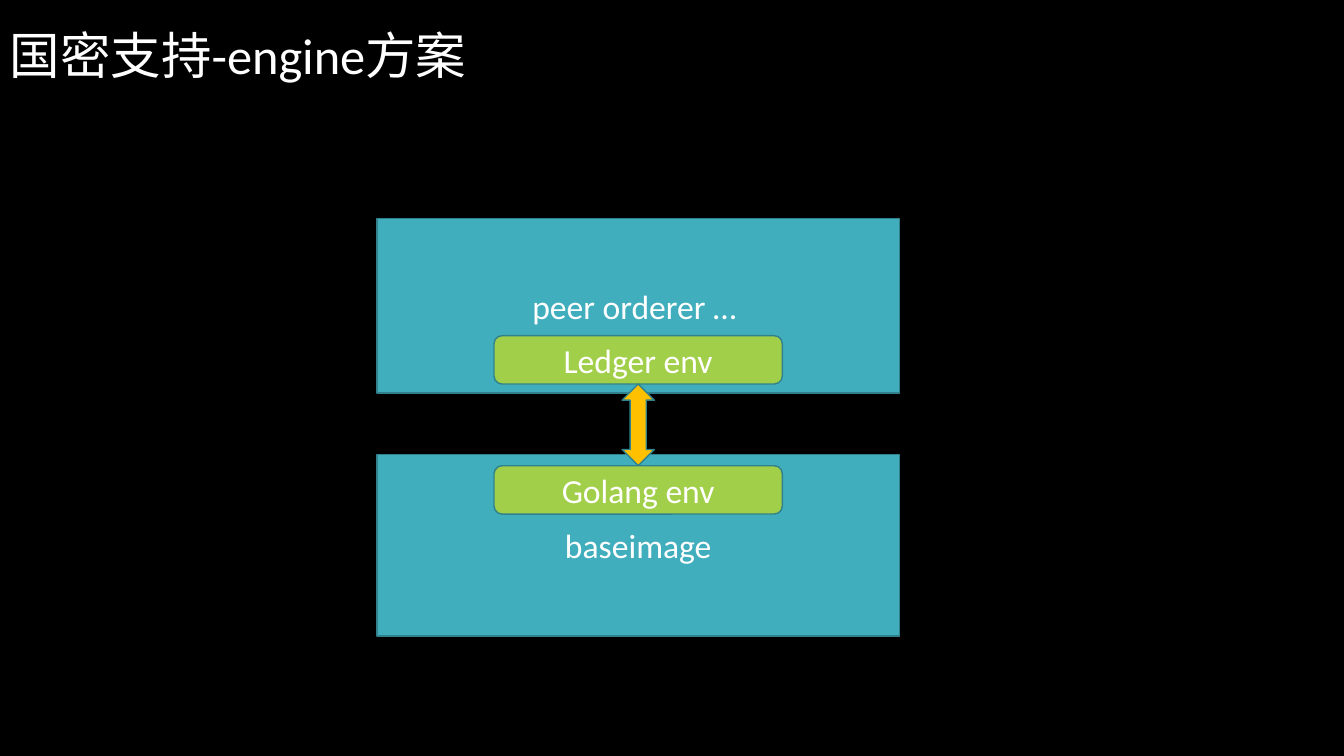
"""Build a slide showing how the Golang and ledger environments connect across two images."""
import pptx
import pptx.util
import pptx.dml.color
import pptx.enum.shapes
import pptx.enum.text
from dataclasses import dataclass

Inches, Pt = pptx.util.Inches, pptx.util.Pt
RGB = pptx.dml.color.RGBColor.from_string
SHAPE = pptx.enum.shapes.MSO_SHAPE
TEXT = pptx.enum.text


@dataclass
class Theme:
    font: str = "Calibri"
    title_size: int = 36
    label_size: int = 24
    background: str = "000000"
    text: str = "FFFFFF"
    image: str = "41AEBD"
    env: str = "A2CF49"
    arrow: str = "FFC000"
    outline: str = "30818C"


theme = Theme()


def write(tf, text, size):
    tf.word_wrap = True
    p = tf.paragraphs[0]
    p.text = text
    p.font.name = theme.font
    p.font.size = Pt(size)
    p.font.color.rgb = RGB(theme.text)
    return p


prs = pptx.Presentation()
prs.slide_width, prs.slide_height = Inches(13.33), Inches(7.5)
s = prs.slides.add_slide(prs.slide_layouts[6])
s.background.fill.solid()
s.background.fill.fore_color.rgb = RGB(theme.background)

title = s.shapes.add_textbox(Inches(0), Inches(0.19), Inches(4.82), Inches(0.71))
write(title.text_frame, "国密支持-engine方案", theme.title_size)
title.text_frame.auto_size = TEXT.MSO_AUTO_SIZE.SHAPE_TO_FIT_TEXT

center = 6.33
blocks = [
    (SHAPE.RECTANGLE, 4.51, 5.18, 1.8, theme.image, "baseimage"),
    (SHAPE.RECTANGLE, 2.17, 5.18, 1.73, theme.image, "peer orderer … "),
    (SHAPE.ROUNDED_RECTANGLE, 4.62, 2.86, 0.48, theme.env, "Golang env"),
    (SHAPE.ROUNDED_RECTANGLE, 3.33, 2.86, 0.48, theme.env, "Ledger env"),
    (SHAPE.UP_DOWN_ARROW, 3.81, 0.32, 0.81, theme.arrow, None),
]
for kind, top, width, height, color, label in blocks:
    sp = s.shapes.add_shape(kind, Inches(center - width / 2), Inches(top),
                            Inches(width), Inches(height))
    sp.shadow.inherit = False
    sp.fill.solid()
    sp.fill.fore_color.rgb = RGB(color)
    sp.line.color.rgb = RGB(theme.outline)
    sp.line.width = Pt(1)
    if label:
        p = write(sp.text_frame, label, theme.label_size)
        p.alignment = TEXT.PP_ALIGN.CENTER
        sp.text_frame.vertical_anchor = TEXT.MSO_ANCHOR.MIDDLE

prs.save("out.pptx")
